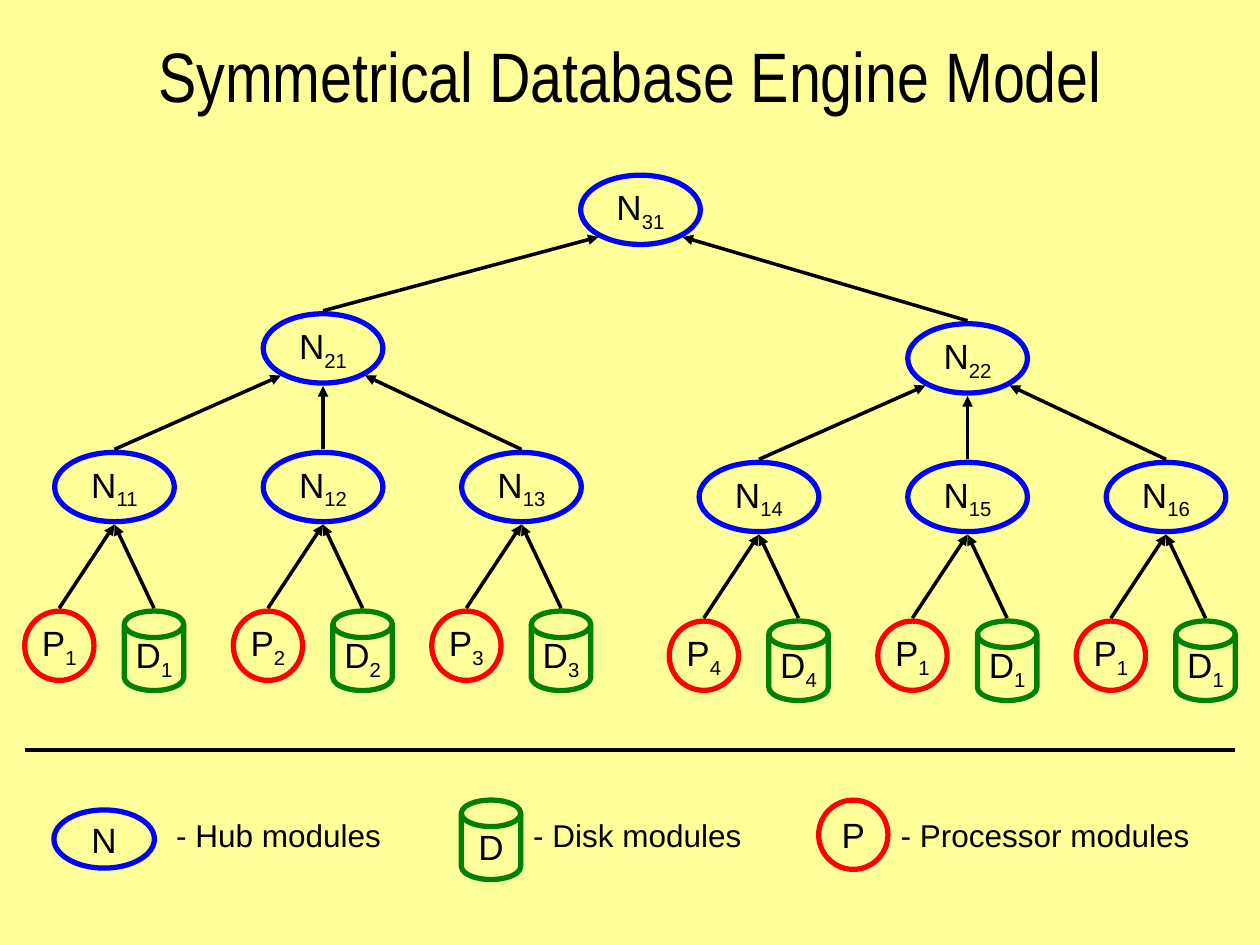
import pptx
import pptx.dml.color
import pptx.enum.shapes
import pptx.enum.text
import pptx.oxml.ns
import pptx.util
from lxml import etree

Pt = pptx.util.Pt
RGBColor = pptx.dml.color.RGBColor
MSO_SHAPE = pptx.enum.shapes.MSO_SHAPE
PP_ALIGN = pptx.enum.text.PP_ALIGN
MIDDLE = pptx.enum.text.MSO_ANCHOR.MIDDLE
NO_AUTOFIT = pptx.enum.text.MSO_AUTO_SIZE.NONE
qn = pptx.oxml.ns.qn

YELLOW = RGBColor(0xFF, 0xFF, 0x99)
BLACK = RGBColor(0x00, 0x00, 0x00)
BLUE = RGBColor(0x00, 0x00, 0xFF)
GREEN = RGBColor(0x00, 0x80, 0x00)
RED = RGBColor(0xFF, 0x00, 0x00)

TITLE_FONT = {"name": "Arial Narrow", "size": Pt(40)}
MODULE_FONT = {"name": "Arial", "size": Pt(20)}
LEGEND_FONT = {"name": "Arial", "size": Pt(18)}

# letter: preset shape, line colour, width, height
MODULES = {
    "N": (MSO_SHAPE.OVAL, BLUE, 68.4, 39.6),
    "P": (MSO_SHAPE.OVAL, RED, 39.6, 39.6),
    "D": (MSO_SHAPE.FLOWCHART_MAGNETIC_DISK, GREEN, 34, 45.4),
}

prs = pptx.Presentation()
prs.slide_width, prs.slide_height = Pt(720), Pt(540)
s = prs.slides.add_slide(prs.slide_layouts[5])
s.background.fill.solid()
s.background.fill.fore_color.rgb = YELLOW


def add_module(letter, index, center, top, scale=1):
    """Draw an outlined module, its index set as a subscript."""
    preset, color, width, height = MODULES[letter]
    width, height = width * scale, height * scale
    sp = s.shapes.add_shape(preset, Pt(center - width / 2), Pt(top), Pt(width), Pt(height))
    sp.shadow.inherit = False
    sp.fill.background()
    sp.line.color.rgb = color
    sp.line.width = Pt(3)
    tf = sp.text_frame
    tf.word_wrap = False
    tf.vertical_anchor = MIDDLE
    p = tf.paragraphs[0]
    p.alignment = PP_ALIGN.CENTER
    for text, baseline in ((letter, None), (index, "-25000")):
        if not text:
            continue
        r = p.add_run()
        r.text = text
        for name, value in MODULE_FONT.items():
            setattr(r.font, name, value)
        r.font.color.rgb = BLACK
        if baseline:
            r.font._element.set("baseline", baseline)


def add_line(x1, y1, x2, y2, arrow=True):
    c = s.shapes.add_connector(
        pptx.enum.shapes.MSO_CONNECTOR.STRAIGHT, Pt(x1), Pt(y1), Pt(x2), Pt(y2))
    c.line.color.rgb = BLACK
    c.line.width = Pt(2)
    if arrow:
        etree.SubElement(c.line._get_or_add_ln(), qn("a:tailEnd"), type="triangle")
    etree.SubElement(c._element.spPr, qn("a:effectLst"))


# Title
title = s.shapes.title
title.left, title.top, title.width, title.height = Pt(0), Pt(15), Pt(720), Pt(55.4)
tf = title.text_frame
tf.text = "Symmetrical Database Engine Model"
tf.auto_size = NO_AUTOFIT
tf.vertical_anchor = MIDDLE
p = tf.paragraphs[0]
p.alignment = PP_ALIGN.CENTER
for name, value in TITLE_FONT.items():
    setattr(p.runs[0].font, name, value)
p.runs[0].font.color.rgb = BLACK

# Hub tree: arrows start just above a child and end just below its parent
GAP = 1.7
SIDE_X, SIDE_Y = 24, 35.3  # where a slanted arrow meets a parent hub
HUB_HEIGHT = MODULES["N"][3]
ROOT_X, ROOT_TOP = 366, 100.1
LEAF_DROP, MODULE_DROP = 79.2, 169.9  # below the top of the middle hub

add_module("N", "31", ROOT_X, ROOT_TOP)

# middle hub, its centre and top, side of the root, (leaf hub, module index)
branches = [
    ("21", 184.6, 179.3, -1, [("11", "1"), ("12", "2"), ("13", "3")]),
    ("22", 552.9, 185, 1, [("14", "4"), ("15", "1"), ("16", "1")]),
]
for hub, mid_x, mid_top, root_side, leaves in branches:
    add_module("N", hub, mid_x, mid_top)
    add_line(mid_x, mid_top - GAP, ROOT_X + root_side * SIDE_X, ROOT_TOP + SIDE_Y)
    leaf_top, module_top = mid_top + LEAF_DROP, mid_top + MODULE_DROP
    for (leaf, index), offset, side in zip(leaves, (-119.2, 0, 113.4), (-1, 0, 1)):
        x = mid_x + offset
        add_module("N", leaf, x, leaf_top)
        arrow_end = SIDE_Y if side else HUB_HEIGHT + GAP
        add_line(x, leaf_top - GAP, mid_x + side * SIDE_X, mid_top + arrow_end)
        for letter, shift in (("P", -31.5), ("D", 22.6)):
            add_module(letter, index, x + shift, module_top)
            add_line(x + shift, module_top - GAP, x, leaf_top + HUB_HEIGHT + GAP)

# Legend
add_line(14.2, 428.6, 705.8, 428.6, arrow=False)
legend = [
    ("N", 59.5, 462.8, 0.84, "- Hub modules", 93.6, 147.6),
    ("D", 280.6, 457.2, 1, "- Disk modules", 297.6, 136.1),
    ("P", 487.6, 457.2, 1, "- Processor modules", 507.6, 181.4),
]
for letter, center, top, scale, text, left, width in legend:
    add_module(letter, "", center, top, scale)
    tf = s.shapes.add_textbox(Pt(left), Pt(462.8), Pt(width), Pt(28.8)).text_frame
    tf.word_wrap = True
    r = tf.paragraphs[0].add_run()
    r.text = text
    for name, value in LEGEND_FONT.items():
        setattr(r.font, name, value)
    r.font.color.rgb = BLACK

prs.save("out.pptx")
